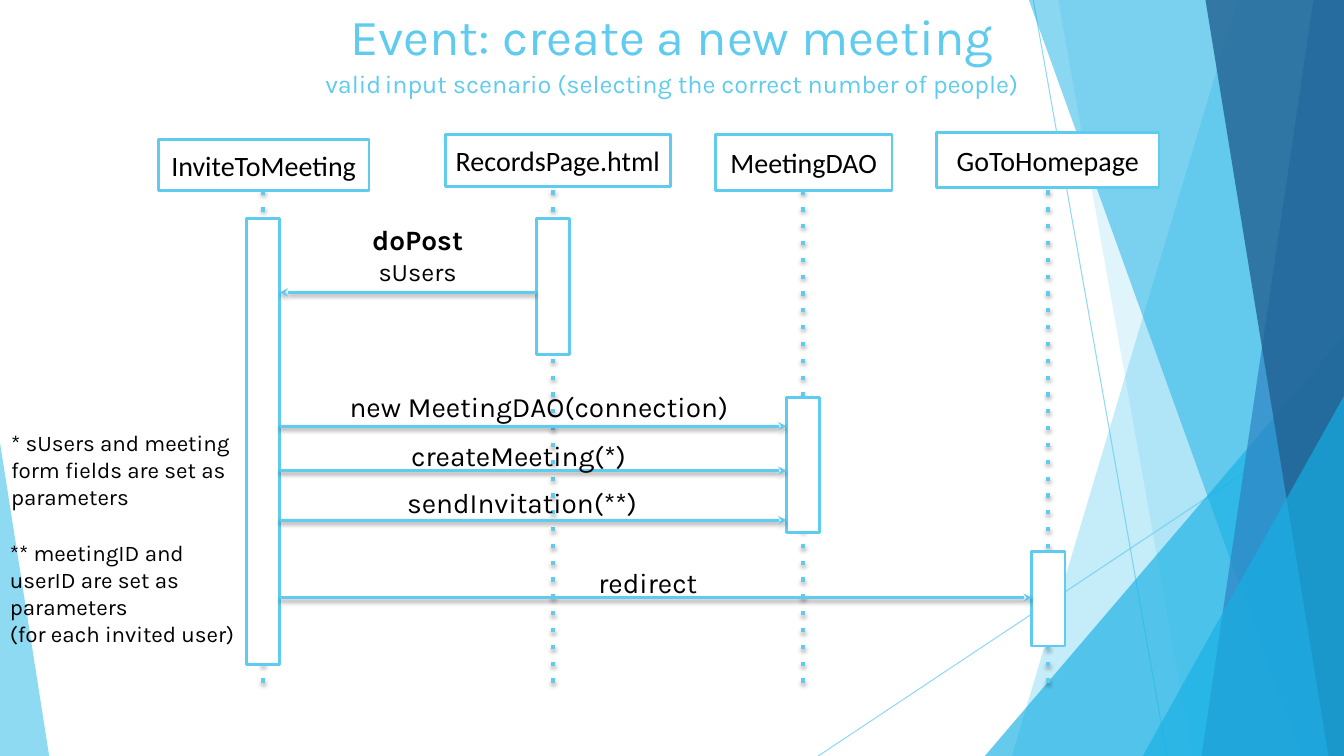
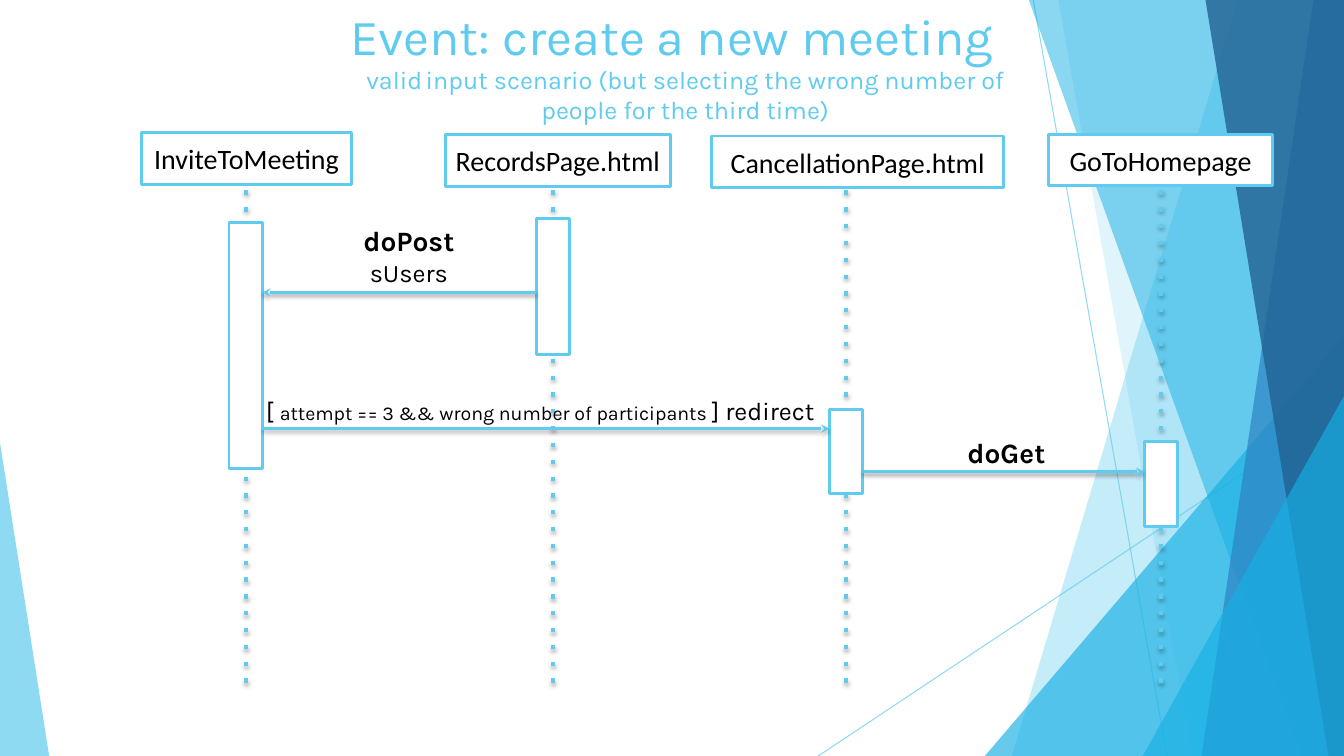
from lxml.etree import SubElement
from pptx import Presentation
from pptx.dml.color import RGBColor
from pptx.enum.shapes import MSO_CONNECTOR, MSO_SHAPE
from pptx.enum.text import MSO_ANCHOR, PP_ALIGN
from pptx.oxml.ns import qn
from pptx.util import Cm, Pt

SKY = RGBColor(0x5F, 0xCB, 0xEF)
CYAN = RGBColor(0x17, 0xB0, 0xE4)
BLUE = RGBColor(0x2E, 0x83, 0xC3)
NAVY = RGBColor(0x22, 0x62, 0x92)
BLACK = RGBColor(0, 0, 0)
WHITE = RGBColor(0xFF, 0xFF, 0xFF)

W, H = 33.87, 19.05
BAR_W = 0.84
LIFE_TOP, LIFE_BOTTOM = 4.8, 17.48
LEFT, CENTER = PP_ALIGN.LEFT, PP_ALIGN.CENTER


def add_line(s, x1, y1, x2, y2, width, end=None, shadow=None):
    """end: (tag, attribute, value) for a dash or arrowhead; shadow: (alpha, distance)."""
    c = s.shapes.add_connector(MSO_CONNECTOR.STRAIGHT, Cm(x1), Cm(y1), Cm(x2), Cm(y2))
    c.line.color.rgb = SKY
    c.line.width = Pt(width)
    if end:
        tag, name, value = end
        SubElement(c.element.spPr.find(qn("a:ln")), qn(tag)).set(name, value)
    effects = SubElement(c.element.spPr, qn("a:effectLst"))
    if shadow:
        alpha, dist = shadow
        outer = SubElement(effects, qn("a:outerShdw"), blurRad="40000", dist=str(dist),
                           dir="5400000", rotWithShape="0")
        black = SubElement(outer, qn("a:srgbClr"), val="000000")
        SubElement(black, qn("a:alpha"), val=str(alpha * 1000))
    return c


def add_text(tf, paragraphs, align, font="Karla"):
    """Each paragraph is a list of runs: (text, size, colour, bold)."""
    tf.word_wrap = True
    for i, runs in enumerate(paragraphs):
        p = tf.add_paragraph() if i else tf.paragraphs[0]
        p.alignment = align
        for text, size, color, bold in runs:
            r = p.add_run()
            r.text = text
            r.font.name = font
            r.font.size = Pt(size)
            r.font.color.rgb = color
            r.font.bold = bold


prs = Presentation()
prs.slide_width, prs.slide_height = Cm(W), Cm(H)
layout = prs.slide_layouts[5]

# Title position, shared through the layout
for ph in list(layout.placeholders):
    if ph.placeholder_format.idx:
        ph.element.getparent().remove(ph.element)
    else:
        ph.left, ph.top, ph.width, ph.height = Cm(1.69), Cm(0), Cm(30.48), Cm(3.18)
        ph.text_frame.vertical_anchor = MSO_ANCHOR.TOP

# Facets of the background: colour, opacity in percent, corners or triangle (box, apex)
FACETS = [
    (SKY, 36, [(31.19, 0), (W, 0), (W, H), (25.5, H)]),
    (SKY, 20, [(26.67, 0), (W, 0), (W, H), (30.05, H)]),
    (CYAN, 66, (24.82, 8.46, 9.05, 10.59, 1)),
    (CYAN, 50, [(25.93, 0), (W, 0), (W, H), (32.79, H)]),
    (BLUE, 70, [(33.1, 0), (W, 0), (W, H), (30.28, H)]),
    (NAVY, 80, [(30.38, 0), (W, 0), (W, H), (33.48, H)]),
    (CYAN, 66, (28.8, 9.98, 5.07, 9.07, 1)),
    (SKY, 70, (0, 11.15, 1.24, 7.9, 0)),
]

# Diagrams. Lanes: name, axis, head (left, top, width, height), bar (top, height)
# Messages: from lane, to lane, height
# Texts: left, top, width, height, alignment, paragraphs
RECORDS = ("RecordsPage.html", 13.94, (11.23, 3.4, 5.66, 1.3), (5.51, 3.43))
DO_POST = [[("doPost", 20, BLACK, True)], [("sUsers", 18, BLACK, False)]]
VALID = [("valid", 18, SKY, False), (" ", 10.5, BLACK, False)]
DIAGRAMS = [
    {
        "lanes": [
            ("InviteToMeeting", 6.63, (3.99, 3.51, 5.31, 1.3), (5.51, 11.23)),
            RECORDS,
            ("MeetingDAO", 20.24, (18.03, 3.4, 4.45, 1.4), (10.01, 3.4)),
            ("GoToHomepage", 26.42, (23.6, 3.33, 5.61, 1.4), (13.89, 2.39)),
        ],
        "messages": [(1, 0, 7.37), (0, 2, 10.74), (0, 2, 11.86), (0, 2, 13.11), (0, 3, 15.06)],
        "texts": [
            (7.95, 1.6, 18.47, 1.02, LEFT, [VALID + [
                ("input scenario (selecting the correct number of people)", 18, SKY, False)]]),
            (7.92, 5.49, 5.21, 1.88, CENTER, DO_POST),
            (8.56, 9.7, 10.31, 1.12, LEFT, [[("new MeetingDAO(connection)", 20, BLACK, False)]]),
            (10.11, 10.92, 8.46, 1.12, LEFT, [[("createMeeting(*)", 20, BLACK, False)]]),
            (10.01, 12.12, 6.38, 1.12, LEFT, [[("sendInvitation(**)", 20, BLACK, False)]]),
            (14.83, 14.12, 4.39, 1.12, LEFT, [[("redirect", 20, BLACK, False)]]),
            (0.03, 10.69, 6.17, 2.31, LEFT, [
                [("* sUsers and meeting form fields are set as parameters", 16, BLACK, False)]]),
            (0, 13.46, 6.25, 3, LEFT, [
                [("** meetingID and userID are set as parameters", 16, BLACK, False)],
                [("(for each invited user)", 16, BLACK, False)]]),
        ],
    },
    {
        "lanes": [
            ("InviteToMeeting", 6.19, (3.56, 3.35, 5.31, 1.3), (5.61, 6.2)),
            RECORDS,
            ("CancellationPage.html", 21.32, (17.93, 3.43, 7.37, 1.3), (10.31, 2.13)),
            ("GoToHomepage", 29.26, (26.42, 3.38, 5.66, 1.3), (11.13, 2.13)),
        ],
        "messages": [(1, 0, 7.37), (0, 2, 10.8), (2, 3, 11.89)],
        "texts": [
            (5.66, 1.5, 23.22, 1.8, CENTER, [
                VALID + [("input scenario (but selecting the wrong number of", 18, SKY, False)],
                [("people for the third time)", 18, SKY, False)]]),
            (7.7, 5.51, 5.21, 1.88, CENTER, DO_POST),
            (6.45, 9.83, 15.01, 1.02, LEFT, [[
                ("[ ", 18, BLACK, False),
                ("attempt == 3 && wrong number of participants ", 14, BLACK, False),
                ("] redirect", 18, BLACK, False)]]),
            (24.13, 10.85, 2.49, 1.12, LEFT, [[("doGet", 20, BLACK, True)]]),
        ],
    },
]

for number, diagram in enumerate(DIAGRAMS):
    s = prs.slides.add_slide(layout)

    # Background, drawn once and moved to the layout
    if number == 0:
        decor = [(add_line(s, 26.04, 0, 29.41, H, 0.75), 70),
                 (add_line(s, W, 10.24, 20.62, H, 0.75), 70)]
        for color, alpha, outline in FACETS:
            if isinstance(outline, list):
                points = [(Cm(x), Cm(y)) for x, y in outline]
                builder = s.shapes.build_freeform(*points[0])
                builder.add_line_segments(points[1:], close=True)
                sp = builder.convert_to_shape()
            else:
                *box, apex = outline
                sp = s.shapes.add_shape(MSO_SHAPE.ISOSCELES_TRIANGLE, *map(Cm, box))
                sp.adjustments[0] = apex
            sp.shadow.inherit = False
            sp.fill.solid()
            sp.fill.fore_color.rgb = color
            sp.line.fill.background()
            decor.append((sp, alpha))
        for sp, alpha in decor:
            color = next(sp.element.spPr.iter(qn("a:srgbClr")))
            SubElement(color, qn("a:alpha"), val=str(alpha * 1000))
            layout.shapes.element.append(sp.element)

    # Title
    add_text(s.shapes.title.text_frame,
             [[("Event: create a new meeting", 36, SKY, False)]], CENTER)

    # Lifelines, heads and activation bars
    for name, axis, head, (bar_top, bar_height) in diagram["lanes"]:
        add_line(s, axis, LIFE_TOP, axis, LIFE_BOTTOM, 3,
                 ("a:prstDash", "val", "dot"), (35, 23000))
        bar = (axis - BAR_W / 2, bar_top, BAR_W, bar_height)
        for box, label in ((head, name), (bar, None)):
            sp = s.shapes.add_shape(MSO_SHAPE.RECTANGLE, *map(Cm, box))
            sp.shadow.inherit = False
            sp.fill.solid()
            sp.fill.fore_color.rgb = WHITE
            sp.line.color.rgb = SKY
            sp.line.width = Pt(2)
            if label:
                sp.text_frame.vertical_anchor = MSO_ANCHOR.MIDDLE
                add_text(sp.text_frame, [[(label, 20, BLACK, False)]], CENTER, "Calibri")

    # Messages from bar edge to bar edge
    for start, stop, y in diagram["messages"]:
        x1, x2 = diagram["lanes"][start][1], diagram["lanes"][stop][1]
        gap = BAR_W / 2 if x2 > x1 else -BAR_W / 2
        add_line(s, x1 + gap, y, x2 - gap, y, 2,
                 ("a:tailEnd", "type", "stealth"), (38, 20000))

    # Subtitle, message labels and notes
    for *box, align, paragraphs in diagram["texts"]:
        add_text(s.shapes.add_textbox(*map(Cm, box)).text_frame, paragraphs, align)

prs.save("out.pptx")
